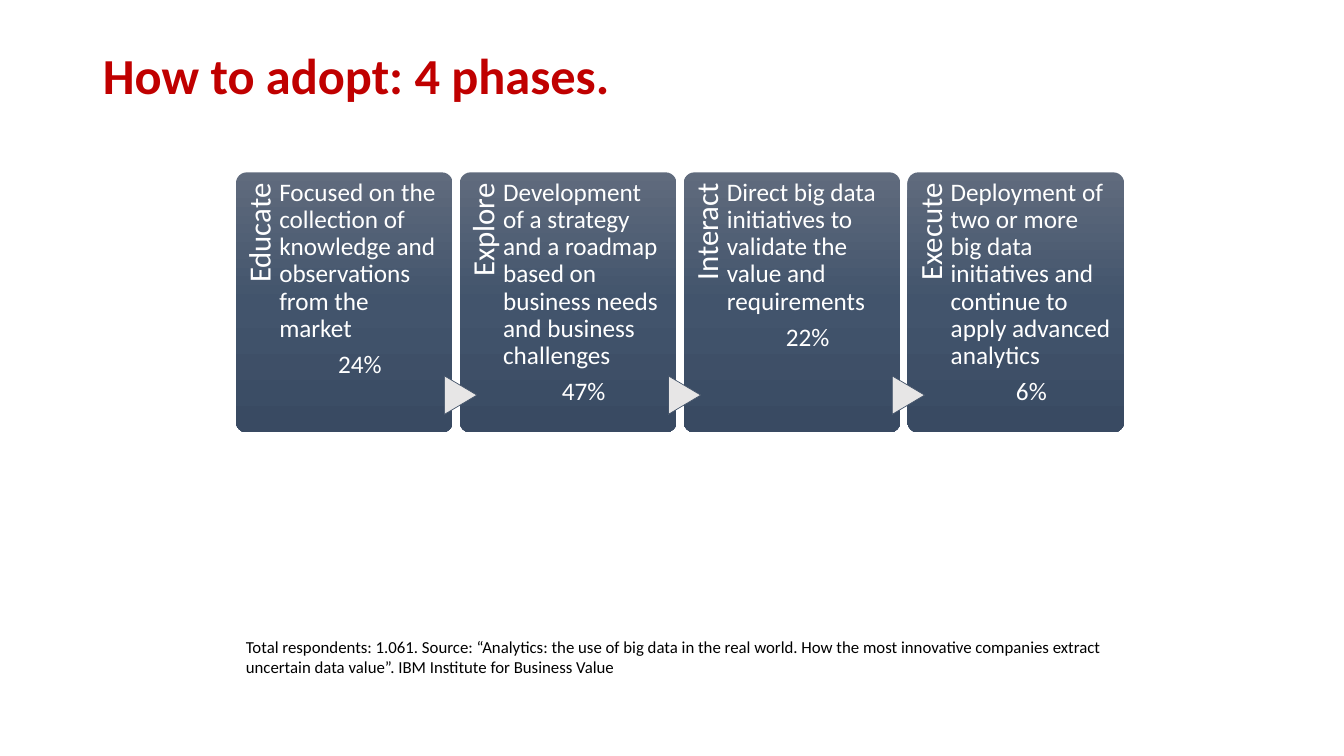
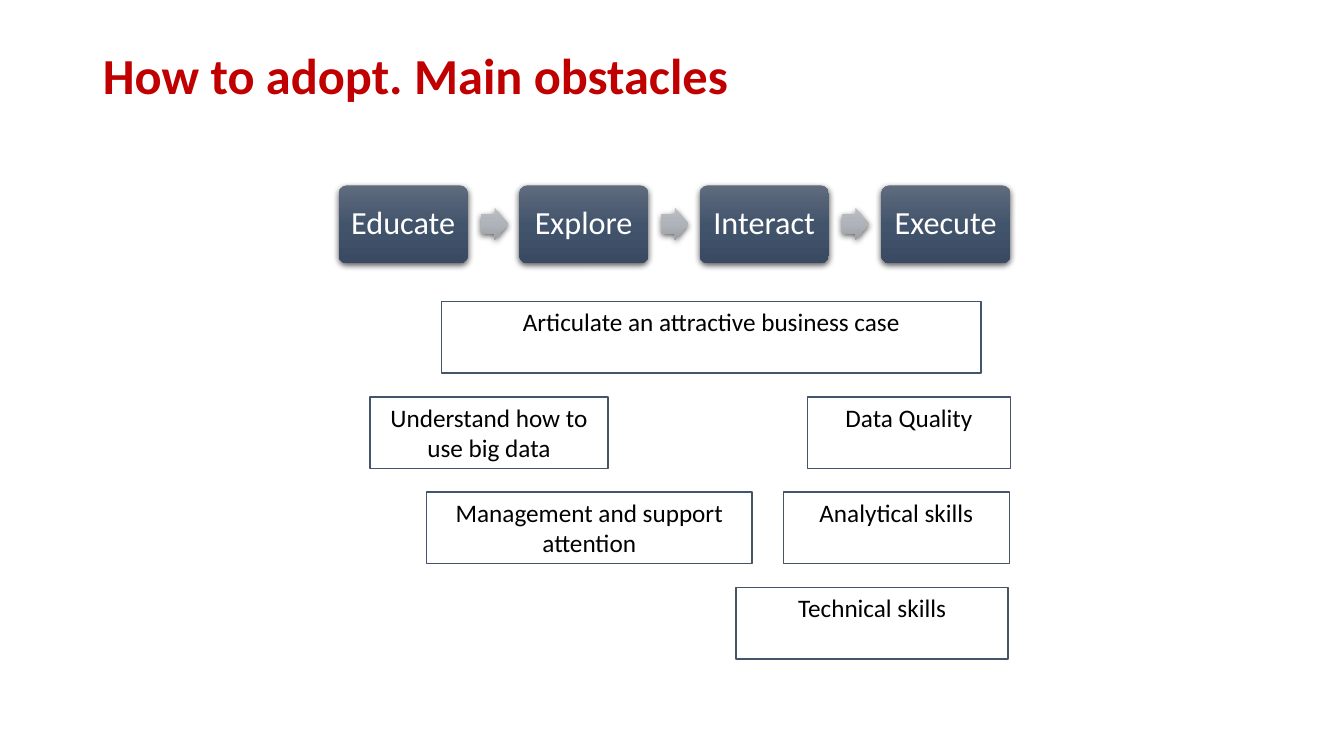
"""Build two slides on the phases of big data adoption and their obstacles."""
from copy import deepcopy

from pptx import Presentation
from pptx.dml.color import RGBColor
from pptx.enum.shapes import MSO_SHAPE as Shape
from pptx.enum.text import MSO_ANCHOR as Anchor, MSO_AUTO_SIZE as AutoSize, PP_ALIGN as Align
from pptx.oxml import parse_xml
from pptx.oxml.ns import nsdecls, qn
from pptx.util import Pt

PX = 9144
FONT = "Calibri"
RED = RGBColor(0xC0, 0x00, 0x00)
WHITE = RGBColor(0xFF, 0xFF, 0xFF)
BLACK = RGBColor(0x00, 0x00, 0x00)
SLATE = RGBColor(0x44, 0x54, 0x6A)
LIGHT = RGBColor(0xE7, 0xE6, 0xE6)
CARD_GRADIENT = (RGBColor(0x60, 0x6B, 0x7D), RGBColor(0x42, 0x54, 0x6C), RGBColor(0x39, 0x4A, 0x62))
ARROW_GRADIENT = (RGBColor(0xBA, 0xBD, 0xC2), RGBColor(0xB0, 0xB3, 0xBA), RGBColor(0x9C, 0x9F, 0xA6))
SHADOW = (
    f'<a:effectLst {nsdecls("a")}><a:outerShdw blurRad="57150" dist="19050" dir="5400000" '
    'algn="ctr" rotWithShape="0"><a:srgbClr val="000000"><a:alpha val="63000"/></a:srgbClr>'
    "</a:outerShdw></a:effectLst>"
)

PHASES = (
    ("Educate", "Focused on the collection of knowledge and observations from the market", "24%"),
    ("Explore", "Development of a strategy and a roadmap based on business needs and business challenges", "47%"),
    ("Interact", "Direct big data initiatives to validate the value and requirements", "22%"),
    ("Execute", "Deployment of two or more big data initiatives and continue to apply advanced analytics", "6%"),
)
OBSTACLES = (
    ("Articulate an attractive business case", 438, 299, 535),
    ("Understand how to use big data", 367, 394, 236),
    ("Data Quality", 801, 394, 201),
    ("Management and support attention", 423, 488, 323),
    ("Analytical skills", 777, 488, 224),
    ("Technical skills", 730, 583, 270),
)
SOURCE = (
    "Total respondents: 1.061. Source: “Analytics: the use of big data in the real world. "
    "How the most innovative companies extract uncertain data value”. IBM Institute for Business Value"
)


def scaled(*lengths):
    """Turn px lengths into EMU."""
    return [length * PX for length in lengths]


def write(frame, text, size, color, align=Align.LEFT, spacing=1.0, anchor=Anchor.TOP):
    """Fill a text frame and format every paragraph in it."""
    frame.text = text
    frame.word_wrap = True
    frame.auto_size = AutoSize.NONE
    frame.vertical_anchor = anchor
    for para in frame.paragraphs:
        para.alignment = align
        para.line_spacing = spacing
        for span in para.runs:
            span.font.name = FONT
            span.font.size = Pt(size)
            span.font.color.rgb = color


def set_margins(frame, left, top, right, bottom):
    """Set the four insets of a text frame in px."""
    frame.margin_left, frame.margin_top, frame.margin_right, frame.margin_bottom = scaled(
        left, top, right, bottom)


def add_box(page, kind, place, fill=None, line=None, width=1):
    """Add a preset shape without a shadow."""
    box = page.shapes.add_shape(kind, *scaled(*place))
    box.shadow.inherit = False
    if fill is not None:
        box.fill.solid()
        box.fill.fore_color.rgb = fill
    if line is None:
        box.line.fill.background()
    else:
        box.line.color.rgb = line
        box.line.width = Pt(width)
    return box


def add_gradient_box(page, kind, place, colors, *adjustments):
    """Add a shape with a vertical three-colour gradient."""
    box = add_box(page, kind, place)
    for index, value in enumerate(adjustments):
        box.adjustments[index] = value
    box.fill.gradient()
    box.fill.gradient_angle = 270
    stops = box.element.spPr.find(qn("a:gradFill")).find(qn("a:gsLst"))
    stops.append(deepcopy(stops[0]))
    for index, (stop, color) in enumerate(zip(box.fill.gradient_stops, colors)):
        stop.position = index / 2
        stop.color.rgb = color
    return box


def add_drop_shadow(box):
    """Give a shape a soft shadow below it."""
    properties = box.element.spPr
    properties.replace(properties.find(qn("a:effectLst")), parse_xml(SHADOW))


def add_page(deck, title):
    """Add a slide with the shared title style."""
    page = deck.slides.add_slide(deck.slide_layouts[5])
    holder = page.shapes.title
    holder.left, holder.top, holder.width, holder.height = scaled(92, 40, 1150, 75)
    write(holder.text_frame, title, 36, RED, spacing=0.9, anchor=Anchor.MIDDLE)
    holder.text_frame.paragraphs[0].runs[0].font.bold = True
    return page


def add_phase_card(page, left, name, detail, share):
    """Add a card with a sideways name, a description and a share."""
    add_gradient_box(page, Shape.ROUNDED_RECTANGLE, (left, 171, 215, 258), CARD_GRADIENT, 0.05)
    label = page.shapes.add_textbox(*scaled(left - 84, 255, 211, 43))
    label.rotation = 270
    write(label.text_frame, name, 22, WHITE, Align.RIGHT, 0.9)
    set_margins(label.text_frame, 0, 8, 11, 0)
    body = page.shapes.add_textbox(*scaled(left + 43, 171, 160, 258))
    write(body.text_frame, f"{detail}\n{share}", 18, WHITE, spacing=0.9)
    set_margins(body.text_frame, 0, 7, 0, 0)
    first, last = body.text_frame.paragraphs
    first.space_after = Pt(6.3)
    last.alignment = Align.CENTER


def add_phases_page(deck):
    """Build the slide that explains the four phases."""
    page = add_page(deck, "How to adopt: 4 phases.")
    for index, phase in enumerate(PHASES):
        left = 234 + 222 * index
        add_phase_card(page, left, *phase)
        if index:
            pointer = add_box(page, Shape.FLOWCHART_EXTRACT, (left - 18, 376, 38, 32), LIGHT, SLATE, 0.5)
            pointer.rotation = 90
    source = page.shapes.add_textbox(*scaled(234, 627, 890, 50))
    write(source.text_frame, SOURCE, 12, BLACK)


def add_obstacles_page(deck):
    """Build the slide that sets obstacles below the phases."""
    page = add_page(deck, "How to adopt. Main obstacles")
    for index, (name, _, _) in enumerate(PHASES):
        left = 336 + 538 * index // 3
        step = add_gradient_box(page, Shape.ROUNDED_RECTANGLE, (left, 184, 128, 77), CARD_GRADIENT, 0.1)
        add_drop_shadow(step)
        write(step.text_frame, name, 23, WHITE, Align.CENTER, 0.9, Anchor.MIDDLE)
        step.text_frame.word_wrap = False
        if index < len(PHASES) - 1:
            arrow = add_gradient_box(
                page, Shape.RIGHT_ARROW, (left + 141, 206, 27, 32), ARROW_GRADIENT, 0.6, 0.5)
            add_drop_shadow(arrow)
    for text, left, top, width in OBSTACLES:
        box = add_box(page, Shape.RECTANGLE, (left, top, width, 71), WHITE, SLATE)
        write(box.text_frame, text, 18, BLACK, Align.CENTER)


def main():
    """Build and save the deck."""
    deck = Presentation()
    deck.slide_width, deck.slide_height = scaled(1333, 750)
    add_phases_page(deck)
    add_obstacles_page(deck)
    deck.save("out.pptx")


if __name__ == "__main__":
    main()
